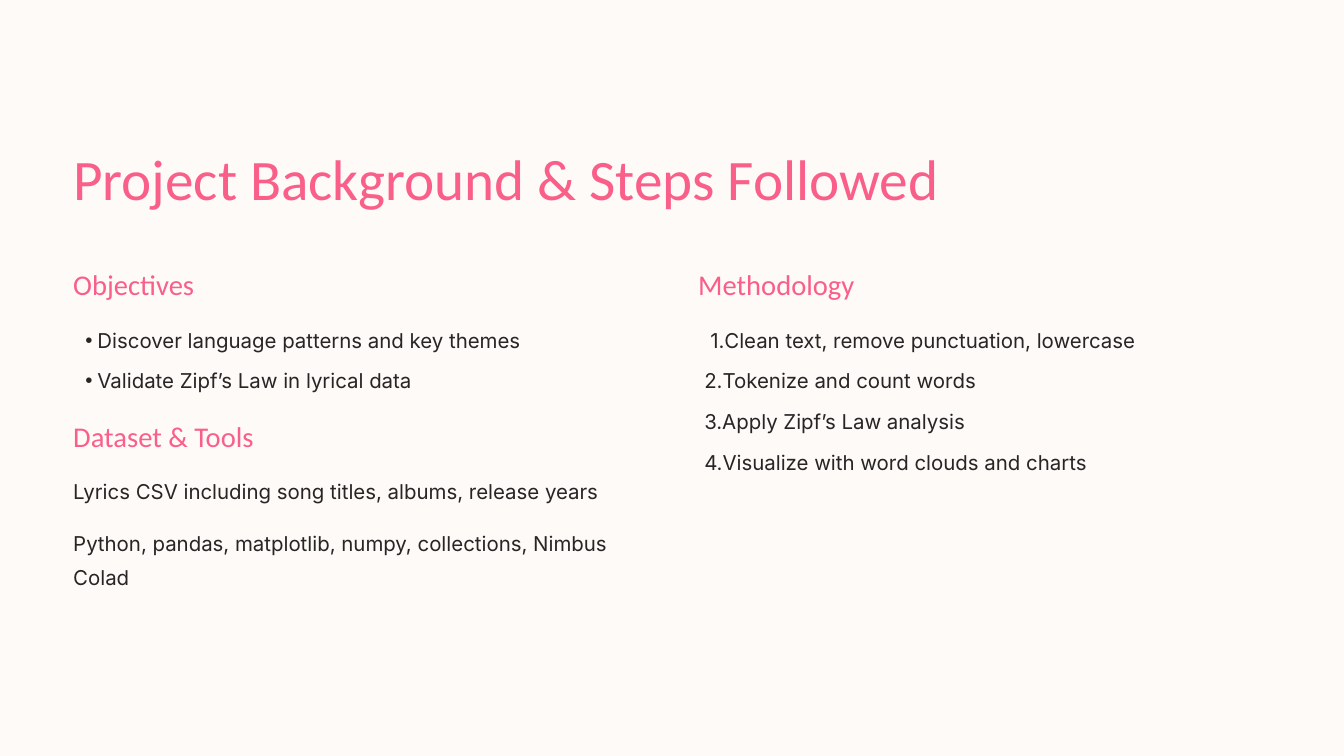
from dataclasses import dataclass

from lxml.etree import SubElement
from pptx import Presentation
from pptx.dml.color import RGBColor
from pptx.enum.shapes import MSO_SHAPE
from pptx.oxml.ns import qn
from pptx.util import Inches, Pt


@dataclass(frozen=True)
class Style:
    font: str
    size: float
    line: float
    color: str


THEME = {
    "title": Style("Calibri", 61.25, 76.2, "F95F88"),
    "head": Style("Calibri", 30.6, 38.1, "F95F88"),
    "body": Style("Inter", 21.87, 35.56, "272525"),
    "sheets": ["FAF2E9", "FDFAF7"],
    "bullet": "Arial",
}

TITLE = "Project Background & Steps Followed"
PARTS = [
    (0, 0, "Objectives", "bullet", [
        "Discover language patterns and key themes",
        "Validate Zipf’s Law in lyrical data",
    ]),
    (0, 1, "Dataset & Tools", "plain", [
        "Lyrics CSV including song titles, albums, release years",
        "Python, pandas, matplotlib, numpy, collections, Nimbus Colad",
    ]),
    (1, 0, "Methodology", "number", [
        "Clean text, remove punctuation, lowercase",
        "Tokenize and count words",
        "Apply Zipf’s Law analysis",
        "Visualize with word clouds and charts",
    ]),
]

WIDE, HIGH = 20, 11.25
LEFT, TOP = 1.09, 3.96
COL, ROW = 9.3, 2.25
DROP = 0.79
STEP = {"bullet": 0.6, "number": 0.605, "plain": 0.78}
HANG = 0.18


def add_sheet(slide, color):
    sheet = slide.shapes.add_shape(
        MSO_SHAPE.RECTANGLE, 0, 0, Inches(WIDE), Inches(HIGH))
    sheet.shadow.inherit = False
    sheet.fill.solid()
    sheet.fill.fore_color.rgb = RGBColor.from_string(color)
    sheet.line.fill.background()


def add_text(slide, text, kind, left, top, width, height):
    style = THEME[kind]
    box = slide.shapes.add_textbox(
        Inches(left), Inches(top), Inches(width), Inches(height))
    frame = box.text_frame
    frame.word_wrap = True
    frame.margin_left = frame.margin_right = 0
    frame.margin_top = frame.margin_bottom = 0
    para = frame.paragraphs[0]
    para.text = text
    para.line_spacing = Pt(style.line)
    para.font.name = style.font
    para.font.size = Pt(style.size)
    para.font.color.rgb = RGBColor.from_string(style.color)
    return para


def add_mark(para, mode, index):
    start = HANG if index == 0 or mode == "bullet" else HANG / 2
    props = para._p.get_or_add_pPr()
    props.set("marL", str(Inches(start + HANG)))
    props.set("indent", str(-Inches(HANG)))
    if mode == "bullet":
        SubElement(props, qn("a:buFont")).set("typeface", THEME["bullet"])
        SubElement(props, qn("a:buChar")).set("char", "•")
    else:
        mark = SubElement(props, qn("a:buAutoNum"))
        mark.set("type", "arabicPeriod")
        mark.set("startAt", str(index + 1))
    props.append(props.find(qn("a:defRPr")))


def add_part(slide, col, row, head, mode, items):
    left, top = LEFT + col * COL, TOP + row * ROW
    add_text(slide, head, "head", left, top, 4.26, 0.55)
    for index, item in enumerate(items):
        high = 1.06 if mode == "plain" and index else 0.57
        para = add_text(slide, item, "body", left,
                        top + DROP + index * STEP[mode], 8.54, high)
        if mode != "plain":
            add_mark(para, mode, index)


def main():
    deck = Presentation()
    deck.slide_width, deck.slide_height = Inches(WIDE), Inches(HIGH)
    slide = deck.slides.add_slide(deck.slide_layouts[6])
    for color in THEME["sheets"]:
        add_sheet(slide, color)
    add_text(slide, TITLE, "title", LEFT, 2.1, 14.53, 1.1)
    for part in PARTS:
        add_part(slide, *part)
    deck.save("out.pptx")


if __name__ == "__main__":
    main()
